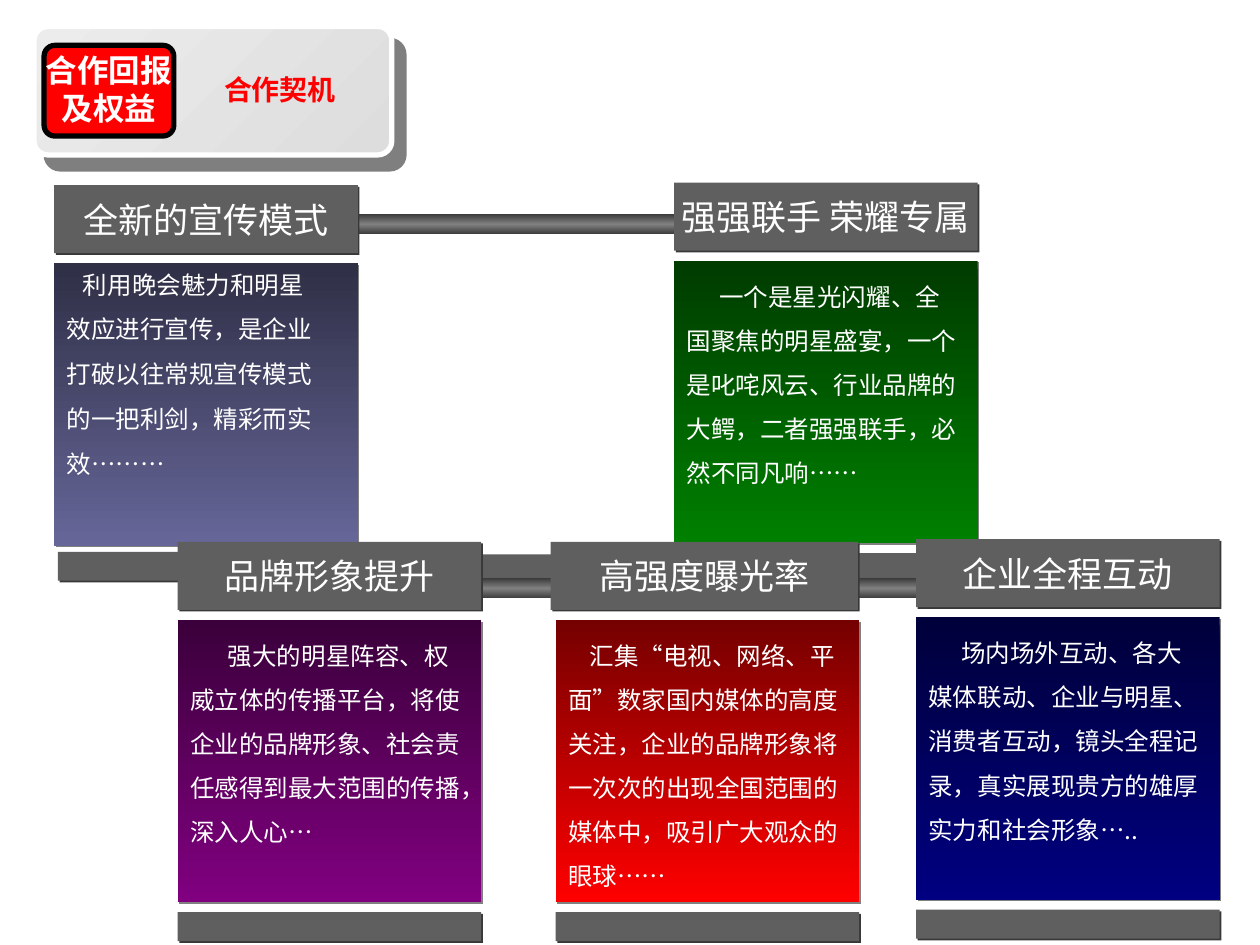
from copy import deepcopy

from lxml.etree import SubElement
from pptx import Presentation
from pptx.dml.color import RGBColor
from pptx.enum.shapes import MSO_SHAPE as Shape
from pptx.enum.text import MSO_ANCHOR as Anchor, PP_ALIGN as Align
from pptx.oxml.ns import qn
from pptx.util import Inches, Pt

WHITE = RGBColor(255, 255, 255)
BLACK = RGBColor(0, 0, 0)
RED = RGBColor(255, 0, 0)
GREY = RGBColor(0x5F, 0x5F, 0x5F)
BAR_EDGE = RGBColor(0x3B, 0x3B, 0x3B)
BAR_MIDDLE = RGBColor(0x80, 0x80, 0x80)
BANNER_DARK = RGBColor(0xDD, 0xDD, 0xDD)
BANNER_LIGHT = RGBColor(0xEC, 0xEC, 0xEC)
SLATE = RGBColor(0x2F, 0x2F, 0x46), RGBColor(0x66, 0x66, 0x99)
GREEN = RGBColor(0, 0x3B, 0), RGBColor(0, 0x80, 0)
PURPLE = RGBColor(0x3B, 0, 0x3B), RGBColor(0x80, 0, 0x80)
CRIMSON = RGBColor(0x75, 0, 0), RED
NAVY = RGBColor(0, 0, 0x3B), RGBColor(0, 0, 0x80)

LATIN, CHINESE = "Arial", "Noto Sans CJK SC"

# Shadows: colour, opacity %, distance in points, direction in degrees
PLATE_SHADOW = "383838", 100, 1.4, 45
PANEL_SHADOW = "808080", 100, 1.4, 45
BANNER_SHADOW = "000000", 50, 10.6, 49

CARD_W, TITLE_H, BODY_H, FOOT_H = 2.41, 0.54, 2.24, 0.23
BODY_DROP, FOOT_DROP = 0.62, 2.94
BAR_W, BAR_H = 4.88, 0.16
LOOSE = {"line_spacing": 1.5}
SPACED = {"space_before": Pt(8.8)}

# left, top, title, title font, colours, body font, spacing, first-line indent, lines
UPPER_CARDS = [
    (0.43, 1.47, "全新的宣传模式", CHINESE, SLATE, CHINESE, SPACED, 0.13,
     ["利用晚会魅力和明星", "效应进行宣传，是企业", "打破以往常规宣传模式",
      "的一把利剑，精彩而实", "效………"]),
    (5.35, 1.45, "强强联手 荣耀专属", CHINESE, GREEN, LATIN, LOOSE, 0.26,
     ["一个是星光闪耀、全", "国聚焦的明星盛宴，一个", "是叱咤风云、行业品牌的",
      "大鳄，二者强强联手，必", "然不同凡响……"]),
]
LOWER_CARDS = [
    (1.41, 4.3, "品牌形象提升", CHINESE, PURPLE, LATIN, LOOSE, 0.3,
     ["强大的明星阵容、权", "威立体的传播平台，将使", "企业的品牌形象、社会责",
      "任感得到最大范围的传播，", "深入人心…"]),
    (4.41, 4.3, "高强度曝光率", LATIN, CRIMSON, LATIN, LOOSE, 0.17,
     ["汇集“电视、网络、平", "面”数家国内媒体的高度", "关注，企业的品牌形象将",
      "一次次的出现全国范围的", "媒体中，吸引广大观众的", "眼球……"]),
    (7.27, 4.28, "企业全程互动", LATIN, NAVY, CHINESE, LOOSE, 0.26,
     ["场内场外互动、各大", "媒体联动、企业与明星、", "消费者互动，镜头全程记",
      "录，真实展现贵方的雄厚", "实力和社会形象….."]),
]
UPPER_FEET = [(0.46, 4.38), (3.15, 4.4), (5.35, 4.39)]
UPPER_BAR, LOWER_BAR = (1.57, 1.7), (2.91, 4.59)


def paint(shape, colors, angle):
    """Fill with one colour, or with an even gradient running clockwise at angle."""
    fill = shape.fill
    if len(colors) == 1:
        fill.solid()
        fill.fore_color.rgb = colors[0]
        return
    fill.gradient()
    fill.gradient_angle = 360 - angle
    stop_list = shape._element.spPr.find(".//" + qn("a:gsLst"))
    while len(stop_list) < len(colors):
        stop_list.append(deepcopy(stop_list[-1]))
    for i, (stop, color) in enumerate(zip(fill.gradient_stops, colors)):
        stop.position = i / (len(colors) - 1)
        stop.color.rgb = color


def cast_shadow(shape, color, opacity, distance, direction):
    effects = shape._element.spPr.find(qn("a:effectLst"))
    outer = SubElement(effects, qn("a:outerShdw"), blurRad="0", dist=str(Pt(distance)),
                       dir=str(direction * 60000), algn="ctr", rotWithShape="0")
    tone = SubElement(outer, qn("a:srgbClr"), val=color)
    SubElement(tone, qn("a:alpha"), val=str(opacity * 1000))


def add_block(slide, box, colors, kind=Shape.RECTANGLE, angle=90, shadow=None,
              outline=None, rounding=None):
    block = slide.shapes.add_shape(kind, *map(Inches, box))
    block.shadow.inherit = False
    paint(block, colors, angle)
    if shadow:
        cast_shadow(block, *shadow)
    if outline:
        block.line.color.rgb = outline
        block.line.width = Pt(3)
    else:
        block.line.fill.background()
    if rounding:
        block.adjustments[0] = rounding
    return block


def write(holder, lines, size, font, color=WHITE, bold=False, align=Align.LEFT,
          anchor=Anchor.TOP, wrap=False, indent=0, spacing=None):
    frame = holder.text_frame
    frame.word_wrap = wrap
    frame.vertical_anchor = anchor
    for i, line in enumerate(lines):
        paragraph = frame.add_paragraph() if i else frame.paragraphs[0]
        paragraph.alignment = align
        for name, value in (spacing or {}).items():
            if i or name != "space_before":
                setattr(paragraph, name, value)
        if indent and i == 0:
            paragraph._p.get_or_add_pPr().set("indent", str(Inches(indent)))
        run = paragraph.add_run()
        run.text = line
        run.font.size = Pt(size)
        run.font.bold = bold
        run.font.color.rgb = color
        run.font.name = font
        SubElement(run._r.get_or_add_rPr(), qn("a:ea"), typeface=CHINESE)


def add_foot(slide, left, top):
    add_block(slide, (left, top, CARD_W, FOOT_H), [GREY], shadow=PLATE_SHADOW)


def add_bar(slide, left, top):
    add_block(slide, (left, top, BAR_W, BAR_H), [BAR_EDGE, BAR_MIDDLE, BAR_EDGE])


def add_card(slide, left, top, title, title_font, colors, font, spacing, indent, lines):
    plate = add_block(slide, (left, top, CARD_W, TITLE_H), [GREY], shadow=PLATE_SHADOW)
    write(plate, [title], 20, title_font, align=Align.CENTER, anchor=Anchor.MIDDLE)
    if colors is CRIMSON:  # this title plate reaches a little further left
        plate.left, plate.width = Inches(4.37), Inches(2.44)
    panel = add_block(slide, (left, top + BODY_DROP, CARD_W, BODY_H), colors,
                      shadow=PANEL_SHADOW)
    write(panel, lines, 14, font, indent=indent, spacing=spacing)


def add_banner(slide):
    add_block(slide, (0.27, 0.21, 2.84, 1.02), [BANNER_DARK, BANNER_LIGHT],
              Shape.ROUNDED_RECTANGLE, 225, BANNER_SHADOW, WHITE, 0.11)
    add_block(slide, (0.35, 0.36, 1.03, 0.72), [RED], Shape.ROUNDED_RECTANGLE,
              outline=BLACK, rounding=0.12)
    badge = slide.shapes.add_textbox(*map(Inches, (0.2, 0.36, 1.33, 0.7)))
    write(badge, ["合作回报及权益"], 18, LATIN, bold=True, align=Align.CENTER, wrap=True)
    topic = slide.shapes.add_textbox(*map(Inches, (1.38, 0.52, 1.81, 0.37)))
    write(topic, ["合作契机"], 16, LATIN, RED, bold=True, anchor=Anchor.MIDDLE,
          wrap=True, indent=0.3)


def main():
    deck = Presentation()
    deck.slide_width, deck.slide_height = Inches(10), Inches(7.5)
    slide = deck.slides.add_slide(deck.slide_layouts[6])
    add_bar(slide, *UPPER_BAR)
    for card in UPPER_CARDS:
        add_card(slide, *card)
    for foot in UPPER_FEET:
        add_foot(slide, *foot)
    add_bar(slide, *LOWER_BAR)
    for card in LOWER_CARDS:
        add_card(slide, *card)
        add_foot(slide, card[0], card[1] + FOOT_DROP)
    add_banner(slide)
    deck.save("out.pptx")


if __name__ == "__main__":
    main()
